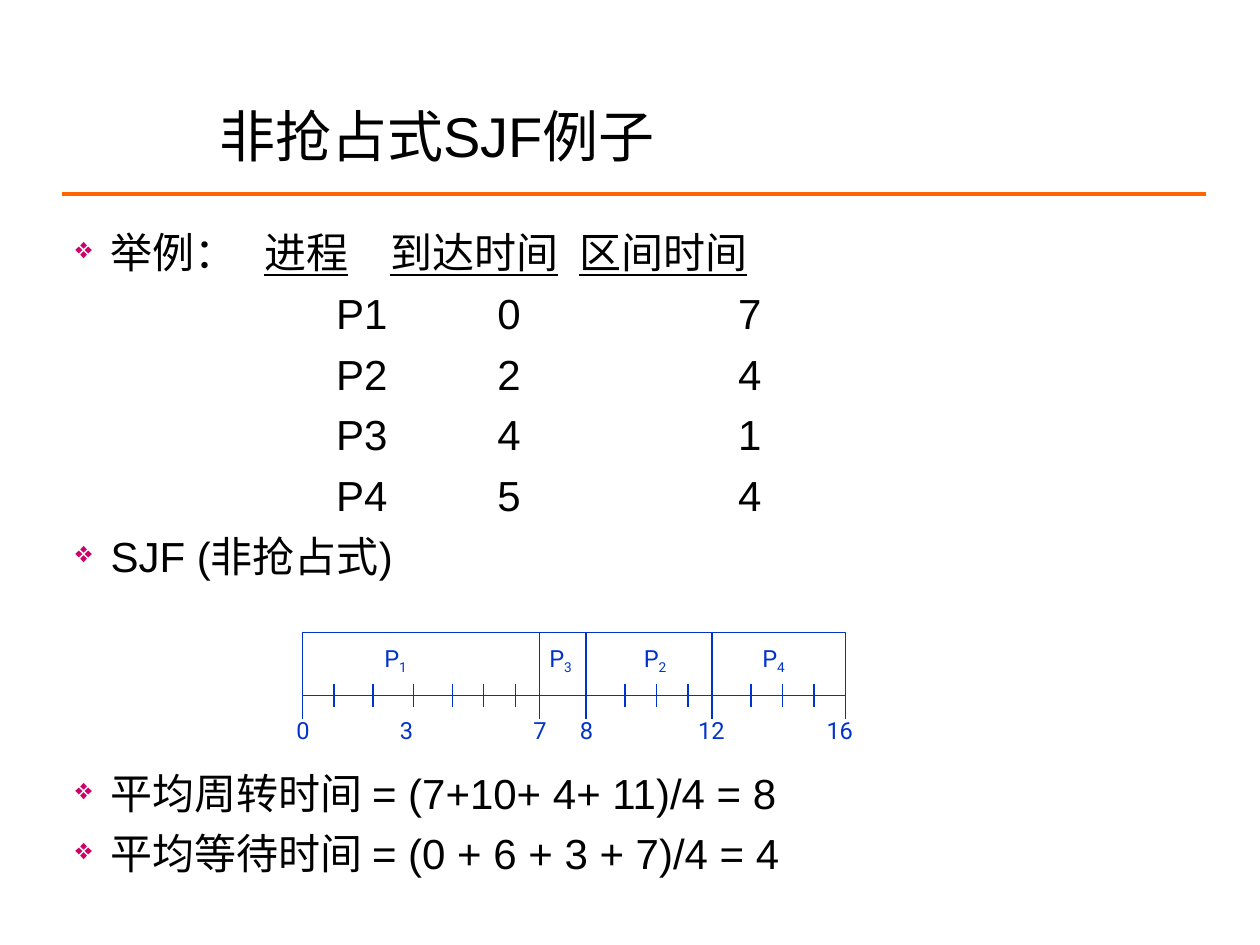
import pptx
import pptx.util
import pptx.dml.color
import pptx.enum.shapes
import pptx.enum.text
import lxml.etree

Inches, Pt = pptx.util.Inches, pptx.util.Pt
rgb = pptx.dml.color.RGBColor.from_string
ANCHOR = pptx.enum.text.MSO_ANCHOR
ALIGN = pptx.enum.text.PP_ALIGN
A = "http://schemas.openxmlformats.org/drawingml/2006/main"
BLUE = "0033CC"

prs = pptx.Presentation()
prs.slide_width, prs.slide_height = Inches(10), Inches(7.5)
s = prs.slides.add_slide(prs.slide_layouts[6])


def add_line(x1, y1, x2, y2, color, width):
    """Draw a straight line without a shadow."""
    cn = s.shapes.add_connector(pptx.enum.shapes.MSO_CONNECTOR.STRAIGHT,
                                Inches(x1), Inches(y1), Inches(x2), Inches(y2))
    cn.line.color.rgb = rgb(color)
    cn.line.width = Pt(width)
    lxml.etree.SubElement(cn._element.spPr, f"{{{A}}}effectLst")


def add_run(p, text, size, color="000000", font="Arial", **formats):
    """Append a formatted run to a paragraph."""
    r = p.add_run()
    r.text = text
    r.font.color.rgb = rgb(color)
    for name, value in dict(size=Pt(size), name=font, **formats).items():
        setattr(r.font, name, value)
    return r


# Title and rule
add_line(0.49, 1.54, 9.57, 1.54, "FF6600", 2.25)
tf = s.shapes.add_textbox(Inches(1.64), Inches(0.75), Inches(7.26), Inches(0.64)).text_frame
tf.word_wrap = True
tf.vertical_anchor = ANCHOR.MIDDLE
add_run(tf.paragraphs[0], "非抢占式SJF例子", 32)

# Body: (is bullet, space before in points, [(text, underlined)])
header = [("举例：\t", False), ("进程", True), ("\t", False),
          ("到达时间", True), ("\t", False), ("区间时间", True)]
processes = [("P1", 0, 7), ("P2", 2, 4), ("P3", 4, 1), ("P4", 5, 4)]
lines = [(True, 5.9, header)]
lines += [(False, 5.9, [(f"\t{name}\t{arrival}\t{burst}", False)])
          for name, arrival, burst in processes]
lines += [(True, 5.9, [("SJF (非抢占式)", False)]),
          (True, 106.5, [("平均周转时间 = (7+10+ 4+ 11)/4 = 8", False)]),
          (True, 5.9, [("平均等待时间 = (0 + 6 + 3 + 7)/4 = 4", False)])]

tf = s.shapes.add_textbox(Inches(0.5), Inches(1.75), Inches(9), Inches(4.95)).text_frame
tf.word_wrap = True
for i, (bullet, before, runs) in enumerate(lines):
    p = tf.add_paragraph() if i else tf.paragraphs[0]
    p.space_before = Pt(before)
    pPr = p._p.get_or_add_pPr()
    if bullet:
        pPr.set("marL", str(Inches(0.28)))
        pPr.set("indent", str(-Inches(0.28)))
        buClr = lxml.etree.SubElement(pPr, f"{{{A}}}buClr")
        lxml.etree.SubElement(buClr, f"{{{A}}}srgbClr", val="CC0066")
        lxml.etree.SubElement(pPr, f"{{{A}}}buSzPct", val="70000")
        lxml.etree.SubElement(pPr, f"{{{A}}}buChar", char="❖")
    else:
        tabs = lxml.etree.SubElement(pPr, f"{{{A}}}tabLst")
        for x in (2.07, 3.35, 5.26):
            lxml.etree.SubElement(tabs, f"{{{A}}}tab", pos=str(Inches(x)), algn="l")
    for text, underline in runs:
        add_run(p, text, 24, underline=underline)

# Gantt chart
left, right, top, axis = 2.4, 6.71, 5.02, 5.52
sp = s.shapes.add_shape(pptx.enum.shapes.MSO_SHAPE.RECTANGLE, Inches(left), Inches(top),
                        Inches(right - left), Inches(axis - top))
sp.shadow.inherit = False
sp.fill.solid()
sp.fill.fore_color.rgb = rgb("FFFFFF")
sp.line.color.rgb = rgb(BLUE)
sp.line.width = Pt(0.75)

dividers = [4.28, 4.65, 5.65]
for x in dividers:
    add_line(x, top, x, axis, BLUE, 0.75)
for x in [left, *dividers, right]:
    add_line(x, axis, x, 5.71, BLUE, 0.75)
for x in (2.65, 2.96, 3.28, 3.59, 3.84, 4.09, 4.96, 5.21, 5.46, 5.96, 6.21, 6.46):
    add_line(x, 5.43, x, 5.61, BLUE, 0.75)

# Labels: (left, top, width, text, subscript)
labels = [(x, 5.07, 0.4, "P", n) for x, n in
          [(2.94, "1"), (4.25, "3"), (5, "2"), (5.94, "4")]]
labels += [(x, 5.63, 0.31 if len(t) == 1 else 0.41, t, "") for x, t in
           [(2.25, "0"), (3.07, "3"), (4.13, "7"), (4.5, "8"), (5.44, "12"), (6.46, "16")]]
for x, y, width, text, subscript in labels:
    tf = s.shapes.add_textbox(Inches(x), Inches(y), Inches(width), Inches(0.33)).text_frame
    tf.word_wrap = False
    tf.vertical_anchor = ANCHOR.MIDDLE
    p = tf.paragraphs[0]
    p.alignment = ALIGN.CENTER
    add_run(p, text, 13.5, BLUE, "Roboto")
    if subscript:
        r = add_run(p, subscript, 13.5, BLUE, "Roboto")
        r._r.get_or_add_rPr().set("baseline", "-25000")

prs.save("out.pptx")
